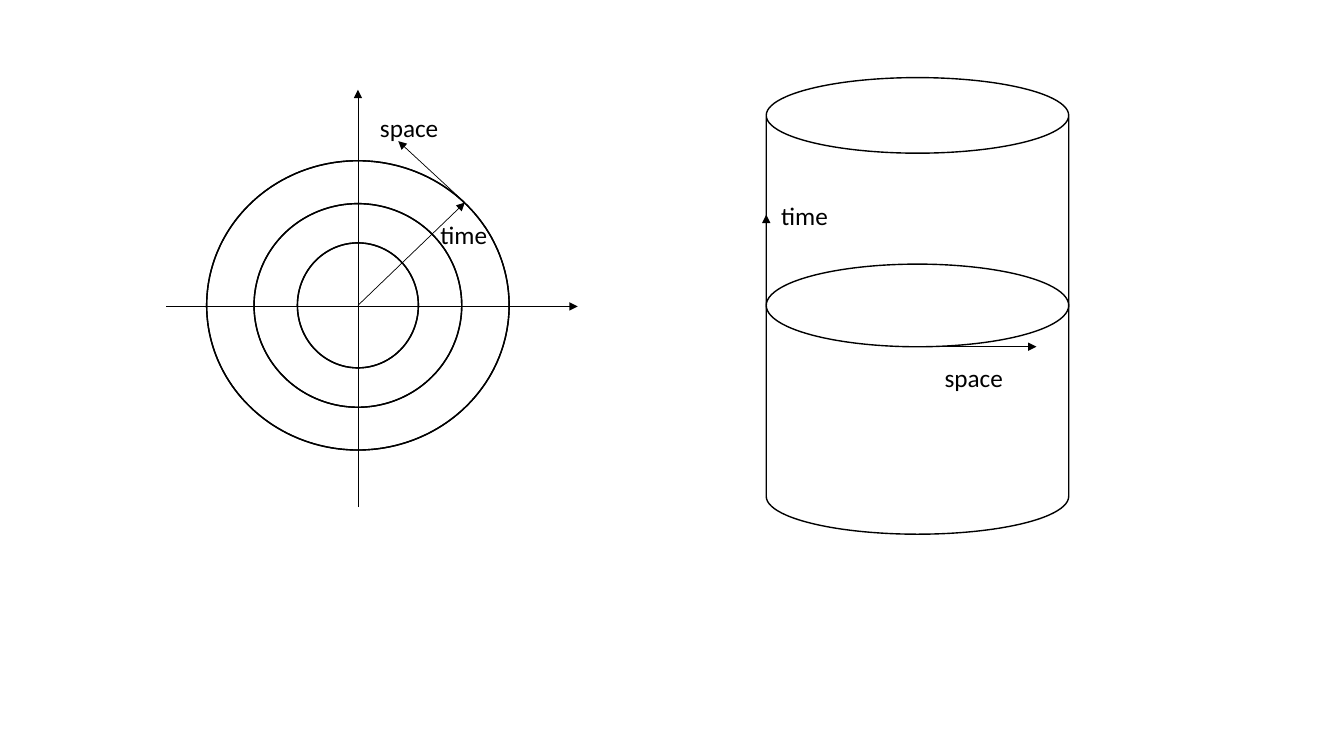
from lxml.etree import SubElement
from pptx import Presentation
from pptx.dml.color import RGBColor
from pptx.enum.shapes import MSO_CONNECTOR, MSO_SHAPE
from pptx.enum.text import MSO_AUTO_SIZE
from pptx.oxml.ns import qn
from pptx.util import Inches, Pt

COLORS = {"ink": "000000", "paper": "FFFFFF"}
CENTER_X, CENTER_Y = 3.55, 3.03
RINGS = [(1.2, 1.24), (2.06, 2.02), (3, 2.87)]
CYLINDER_LEFT, CYLINDER_WIDTH = 7.6, 3
SLICE_HEIGHT = 0.82
SLICE_BOTTOM = CENTER_Y + SLICE_HEIGHT / 2
TANGENT_POINT = (4.61, 2.01)


class Diagram:
    """Draws outlined shapes, arrows and labels on one slide."""

    def __init__(self, slide):
        self.shapes = slide.shapes
        self.font_name = "Calibri"
        self.font_size = Pt(18)
        self.ink = RGBColor.from_string(COLORS["ink"])

    def outline(self, kind, left, top, width, height, fill="paper"):
        """Add a filled preset shape with a thin ink outline."""
        shape = self.shapes.add_shape(
            kind, Inches(left), Inches(top), Inches(width), Inches(height))
        shape.shadow.inherit = False
        shape.fill.solid()
        shape.fill.fore_color.rgb = RGBColor.from_string(COLORS[fill])
        shape.line.color.rgb = self.ink
        shape.line.width = Pt(1)
        return shape

    def ring(self, width, height):
        """Add a ring of no thickness around the origin of the axes."""
        shape = self.outline(
            MSO_SHAPE.DONUT, CENTER_X - width / 2, CENTER_Y - height / 2,
            width, height, "ink")
        shape.adjustments[0] = 0

    def arrow(self, start, end):
        """Add a straight line with a triangular head at its end."""
        connector = self.shapes.add_connector(
            MSO_CONNECTOR.STRAIGHT, *map(Inches, start + end))
        connector.line.color.rgb = self.ink
        connector.line.width = Pt(0.5)
        SubElement(connector.line._get_or_add_ln(), qn("a:tailEnd"), type="triangle")
        SubElement(connector._element.spPr, qn("a:effectLst"))

    def label(self, text, left, top, width):
        """Add a one-line text label."""
        box = self.shapes.add_textbox(
            Inches(left), Inches(top), Inches(width), Inches(0.4))
        frame = box.text_frame
        frame.text = text
        frame.word_wrap = False
        frame.auto_size = MSO_AUTO_SIZE.SHAPE_TO_FIT_TEXT
        font = frame.paragraphs[0].runs[0].font
        font.name = self.font_name
        font.size = self.font_size
        font.color.rgb = self.ink


def draw_plane(diagram):
    """Draw the axes, the rings and the two directions in the plane."""
    diagram.arrow((CENTER_X, 5.03), (CENTER_X, 0.89))
    diagram.arrow((1.65, 3.04), (5.73, 3.04))
    for width, height in RINGS:
        diagram.ring(width, height)
    diagram.arrow((CENTER_X, CENTER_Y), TANGENT_POINT)
    diagram.arrow(TANGENT_POINT, (3.95, 1.4))
    diagram.label("space", 3.67, 1.07, 0.79)
    diagram.label("time", 4.27, 2.13, 0.67)


def draw_cylinder(diagram):
    """Draw the cylinder, its middle slice and the two directions on it."""
    diagram.outline(MSO_SHAPE.CAN, CYLINDER_LEFT, 0.77, CYLINDER_WIDTH, 4.53)
    diagram.outline(
        MSO_SHAPE.OVAL, CYLINDER_LEFT, CENTER_Y - SLICE_HEIGHT / 2,
        CYLINDER_WIDTH, SLICE_HEIGHT)
    diagram.arrow((CYLINDER_LEFT, CENTER_Y), (CYLINDER_LEFT, 2.13))
    diagram.arrow((9, SLICE_BOTTOM), (10.28, SLICE_BOTTOM))
    diagram.label("time", 7.65, 1.94, 0.67)
    diagram.label("space", 9.27, 3.55, 0.79)


def main():
    """Build the slide and save the presentation."""
    presentation = Presentation()
    presentation.slide_width = Inches(13.33)
    presentation.slide_height = Inches(7.5)
    slide = presentation.slides.add_slide(presentation.slide_layouts[6])
    diagram = Diagram(slide)
    draw_plane(diagram)
    draw_cylinder(diagram)
    presentation.save("out.pptx")


if __name__ == "__main__":
    main()
